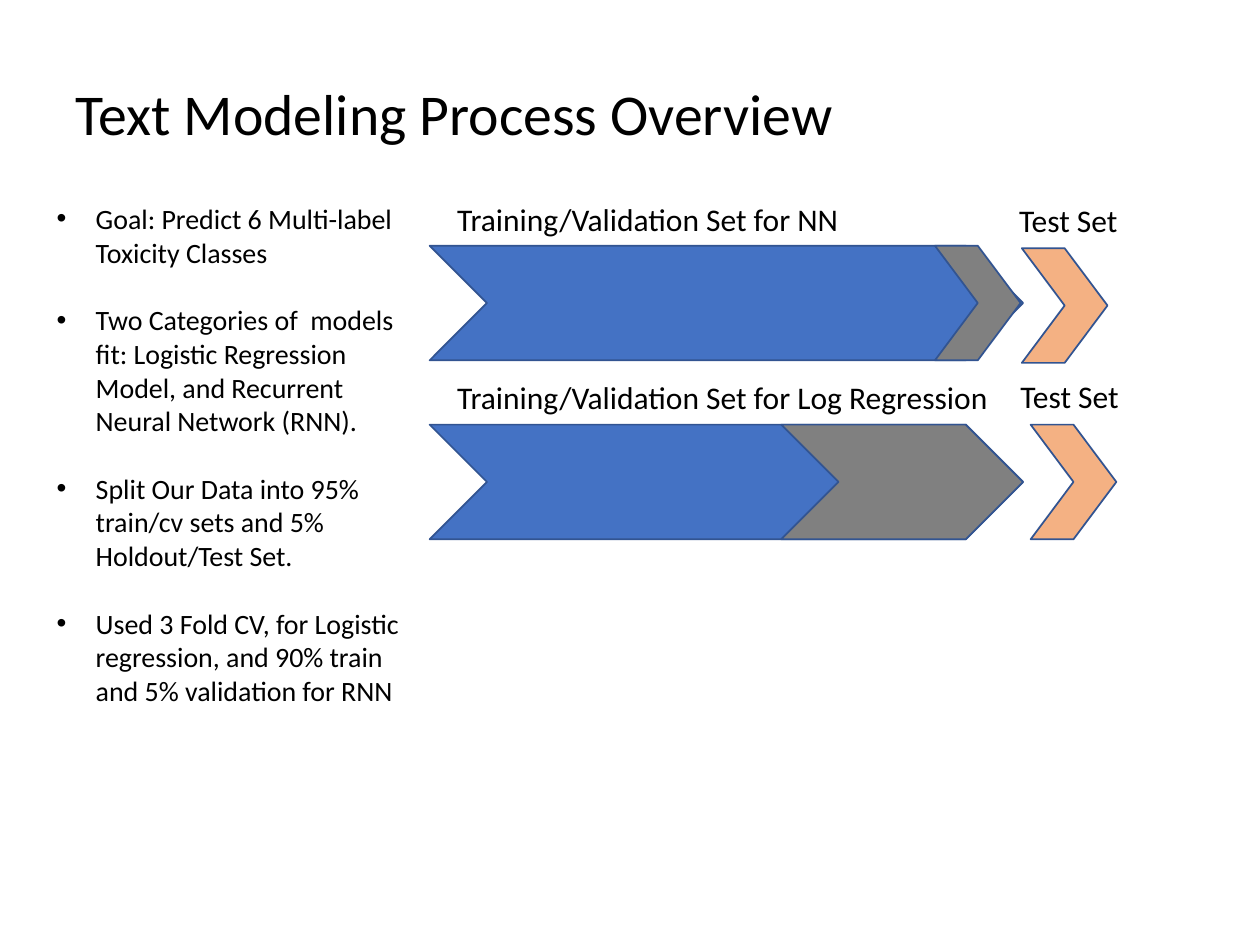
from pptx import Presentation
from pptx.dml.color import RGBColor
from pptx.enum.shapes import MSO_SHAPE as Shape
from pptx.enum.text import MSO_ANCHOR as Anchor, MSO_AUTO_SIZE as AutoSize, PP_ALIGN as Align
from pptx.util import Inches, Pt

COLS, ROWS = 1000, 750
COLORS = {
    "text": "000000",
    "line": "325491",
    "train": "4472C4",
    "validation": "808080",
    "test": "F4B183",
}
GOALS = [
    "Goal: Predict 6 Multi-label Toxicity Classes",
    "Two Categories of  models fit: Logistic Regression Model, and Recurrent Neural Network (RNN).",
    "Split Our Data into 95% train/cv sets and 5% Holdout/Test Set.",
    "Used 3 Fold CV, for Logistic regression, and 90% train and 5% validation for RNN",
]
SPLITS = [
    {"box": (341, 154, 566, 134), "name": "Training/Validation Set for NN", "name_w": 362,
     "validation": (401, 68), "test": (470, 68), "test_drop": 2,
     "test_name": (458, 1)},
    {"box": (341, 295, 566, 133), "name": "Training/Validation Set for Log Regression", "name_w": 465,
     "validation": (279, 192), "test": (477, 68), "test_drop": 0,
     "test_name": (459, -1)},
]
TRAIN_W, BAR_H, LABEL_H = 471, 91, 40

prs = Presentation()
prs.slide_width, prs.slide_height = Inches(10), Inches(7.5)


def grid(x, y, w, h):
    col, row = prs.slide_width / COLS, prs.slide_height / ROWS
    return [round(v) for v in (x * col, y * row, w * col, h * row)]


def rgb(name):
    return RGBColor.from_string(COLORS[name])


def apply(obj, values):
    for name, value in values.items():
        setattr(obj, name, value)


def place(sp, box):
    apply(sp, dict(zip(("left", "top", "width", "height"), grid(*box))))


def write(p, text, size):
    r = p.add_run()
    r.text = text
    apply(r.font, {"name": "Calibri", "size": Pt(size)})
    r.font.color.rgb = rgb("text")


def add_title(s, box):
    sp = s.shapes.title
    place(sp, box)
    tf = sp.text_frame
    apply(tf, {"vertical_anchor": Anchor.MIDDLE, "auto_size": AutoSize.NONE, "word_wrap": True})
    p = tf.paragraphs[0]
    apply(p, {"alignment": Align.LEFT, "line_spacing": 0.9})
    write(p, "Text Modeling Process Overview", 33)


def add_goals(s, box):
    sp = s.placeholders[1]
    place(sp, box)
    tf = sp.text_frame
    apply(tf, {"vertical_anchor": Anchor.TOP, "auto_size": AutoSize.NONE, "word_wrap": True})
    indent = Inches(0.31)
    for i, goal in enumerate(GOALS):
        p = tf.paragraphs[0] if i == 0 else tf.add_paragraph()
        apply(p, {"space_before": Pt(0), "space_after": Pt(19.5)})
        pPr = p._p.get_or_add_pPr()
        pPr.set("marL", str(indent))
        pPr.set("indent", str(-indent))
        write(p, goal, 16)


def add_label(s, text, box):
    tf = s.shapes.add_textbox(*grid(*box)).text_frame
    apply(tf, {"word_wrap": True, "auto_size": AutoSize.SHAPE_TO_FIT_TEXT})
    write(tf.paragraphs[0], text, 18)


def add_chevron(s, kind, box):
    sp = s.shapes.add_shape(Shape.CHEVRON, *grid(*box))
    sp.shadow.inherit = False
    sp.fill.solid()
    sp.fill.fore_color.rgb = rgb(kind)
    sp.line.color.rgb = rgb("line")
    sp.line.width = Pt(1)


def add_split(s, split):
    x, y, w, h = split["box"]
    bar_y = y + h - BAR_H - split["test_drop"]
    for kind, (dx, width), drop in (
        ("train", (0, TRAIN_W), 0),
        ("validation", split["validation"], 0),
        ("test", split["test"], split["test_drop"]),
    ):
        add_chevron(s, kind, (x + dx, bar_y + drop, width, BAR_H))
    add_label(s, split["name"], (x + 12, y, split["name_w"], LABEL_H))
    dx, dy = split["test_name"]
    add_label(s, "Test Set", (x + dx, y + dy, w - dx, LABEL_H))


def main():
    s = prs.slides.add_slide(prs.slide_layouts[1])
    add_title(s, (50, 30, 900, 125))
    add_goals(s, (35, 155, 305, 414))
    for split in SPLITS:
        add_split(s, split)
    prs.save("out.pptx")


if __name__ == "__main__":
    main()
